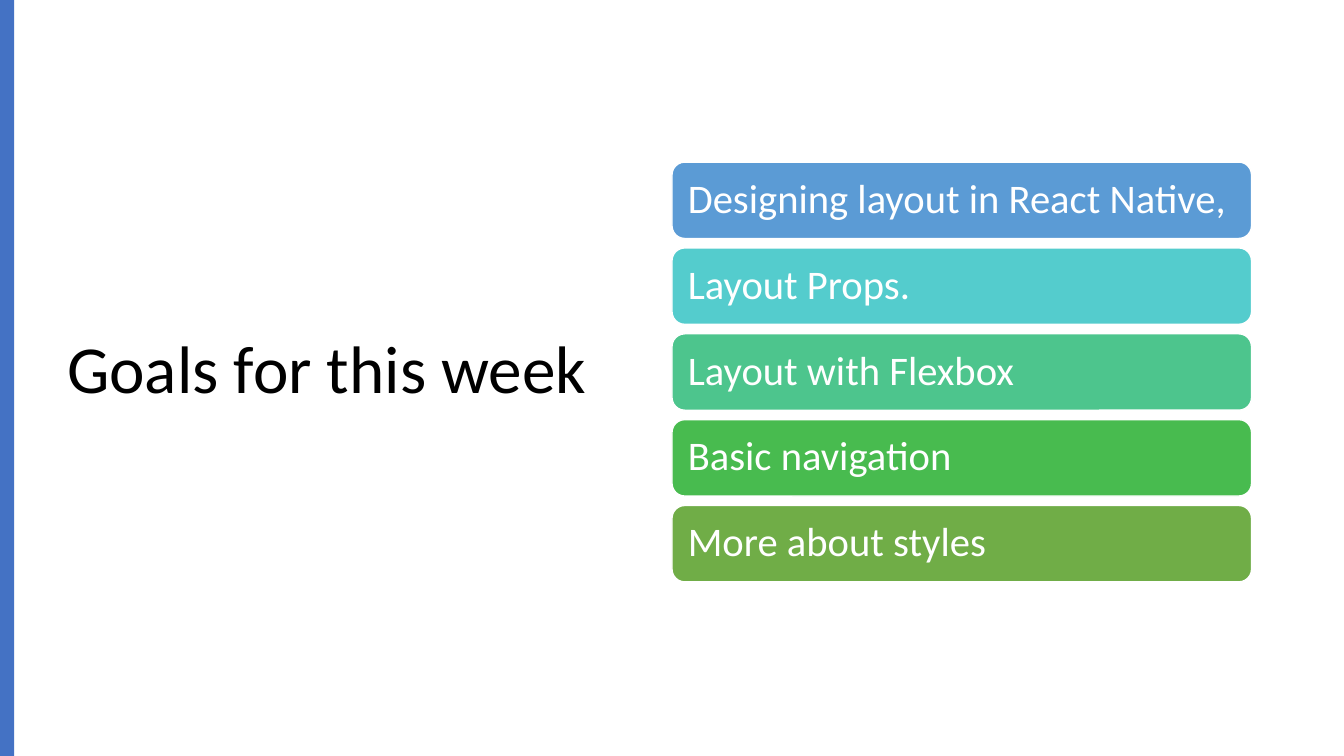
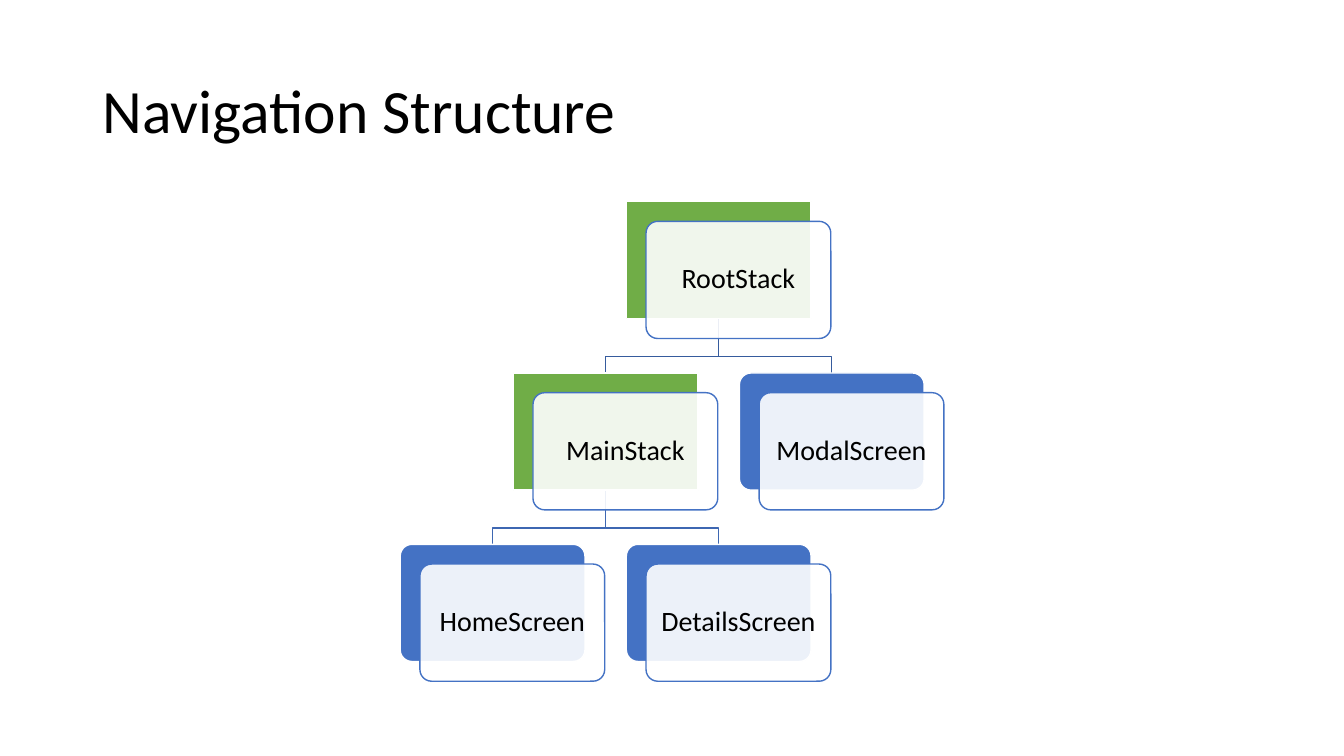
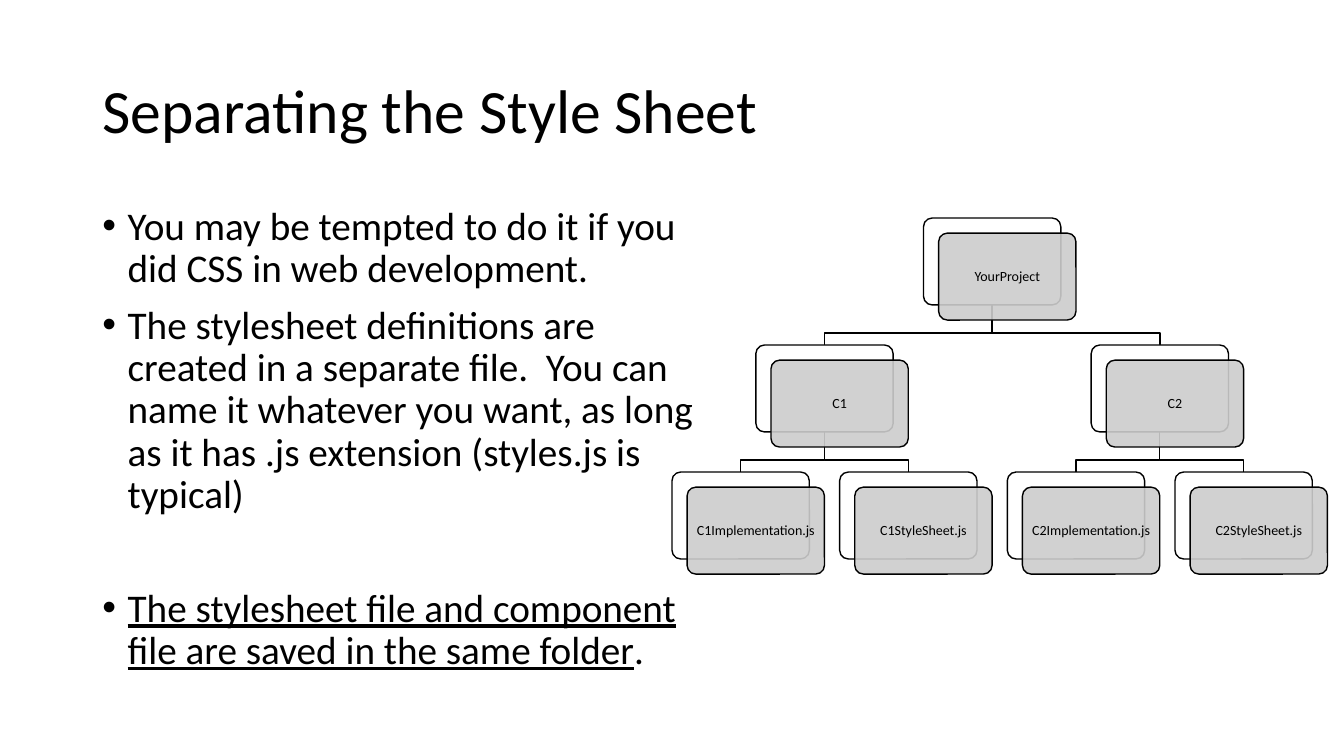
from dataclasses import dataclass
from pptx import Presentation
from pptx.dml.color import RGBColor
from pptx.enum.shapes import MSO_SHAPE
from pptx.enum.text import MSO_ANCHOR, MSO_AUTO_SIZE, PP_ALIGN
from pptx.oxml.ns import qn
from pptx.util import Inches, Pt
from lxml.etree import SubElement

# Shared grid: 160 columns by 90 rows of square cells
COLS, ROWS = 160, 90
CELL = Inches(1) // 12
FONT = "Calibri"

BLACK = RGBColor(0x00, 0x00, 0x00)
WHITE = RGBColor(0xFF, 0xFF, 0xFF)
GREY = RGBColor(0xCC, 0xCC, 0xCC)
BLUE = RGBColor(0x44, 0x72, 0xC4)
GREEN = RGBColor(0x70, 0xAD, 0x47)
NAVY = RGBColor(0x36, 0x5B, 0x9D)
ROYAL = RGBColor(0x3E, 0x67, 0xB2)
SKY = RGBColor(0x5B, 0x9B, 0xD5)
AQUA = RGBColor(0x54, 0xCC, 0xCD)
MINT = RGBColor(0x4D, 0xC5, 0x8D)
LEAF = RGBColor(0x48, 0xBB, 0x4F)

RECT, ROUND = MSO_SHAPE.RECTANGLE, MSO_SHAPE.ROUNDED_RECTANGLE
TITLE = (11, 4.8, 138, 17.4)


@dataclass
class Look:
    """Sizes in cells and colours of one tree."""
    left: float
    top: float
    step: float
    drop: float
    width: float
    height: float
    shift: float
    size: int
    inset: float
    stem: tuple      # (form, fill) of nodes with children
    leaf: tuple      # (form, fill) of end nodes
    edge: RGBColor   # outline of the back cards
    face: RGBColor
    rim: RGBColor
    links: tuple     # link colour by level


def cells(*nums):
    return [round(n * CELL) for n in nums]


def write(frame, *paras, size, color=BLACK, align=PP_ALIGN.LEFT,
          anchor=MSO_ANCHOR.MIDDLE, inset=None, before=0, hang=0):
    """Fill a frame; each paragraph is a string or a tuple of runs."""
    frame.word_wrap = True
    frame.auto_size = MSO_AUTO_SIZE.NONE
    frame.vertical_anchor = anchor
    if inset is not None:
        frame.margin_left = frame.margin_right = Inches(inset)
        frame.margin_top = frame.margin_bottom = Inches(inset)
    for i, para in enumerate(paras):
        p = frame.add_paragraph() if i else frame.paragraphs[0]
        p.alignment, p.line_spacing = align, 0.9
        p.space_before = Pt(before)
        if hang:
            props = p._p.get_or_add_pPr()
            props.set("marL", str(Inches(hang)))
            props.set("indent", str(-Inches(hang)))
        for part in (para,) if isinstance(para, str) else para:
            run = p.add_run()
            run.text = part
            run.font.name, run.font.size = FONT, Pt(size)
            run.font.color.rgb = color


def place(holder, box):
    holder.left, holder.top, holder.width, holder.height = cells(*box)
    return holder.text_frame


def page(deck, layout, title, box=TITLE, size=44):
    slide = deck.slides.add_slide(deck.slide_layouts[layout])
    write(place(slide.shapes.title, box), title, size=size)
    return slide


def card(slide, form, box, fill, line=None, bend=None, alpha=None):
    shape = slide.shapes.add_shape(form, *cells(*box))
    shape.shadow.inherit = False
    shape.fill.solid()
    shape.fill.fore_color.rgb = fill
    if alpha:
        tint = shape.fill._xPr.find(qn("a:solidFill"))[0]
        SubElement(tint, qn("a:alpha")).set("val", str(alpha * 1000))
    if line is None:
        shape.line.fill.background()
    else:
        shape.line.color.rgb, shape.line.width = line, Pt(1)
    if bend and form == ROUND:
        shape.adjustments[0] = bend
    return shape


def link(slide, start, end, color):
    """Draw an elbow that turns 70% of the way down."""
    (x, y), (u, v) = start, end
    turn = y + 0.7 * (v - y)
    pen = slide.shapes.build_freeform(*cells(x, y))
    pen.add_line_segments([cells(*dot) for dot in
                           ((x, turn), (u, turn), (u, v))], close=False)
    shape = pen.convert_to_shape()
    shape.shadow.inherit = False
    shape.fill.background()
    shape.line.color.rgb, shape.line.width = color, Pt(1)


def tree(slide, nodes, look):
    """Draw nodes given as name: (column, row, parent)."""
    def spot(name):
        col, row, _ = nodes[name]
        return look.left + col * look.step, look.top + row * look.drop

    # Links lie behind all cards
    for name, (_, row, root) in nodes.items():
        if root:
            (x, y), (u, v) = spot(root), spot(name)
            half = look.width / 2
            link(slide, (x + half, y + look.height), (u + half, v),
                 look.links[row - 1])

    # Each node is a back card and a shifted, see-through front card
    roots = {root for _, _, root in nodes.values()}
    for name in nodes:
        x, y = spot(name)
        form, fill = look.stem if name in roots else look.leaf
        dims = look.width, look.height
        card(slide, form, (x, y, *dims), fill, look.edge, bend=0.1)
        front = card(slide, ROUND, (x + look.shift, y + look.shift, *dims),
                     look.face, look.rim, bend=0.1, alpha=90)
        write(front.text_frame, name, size=look.size,
              align=PP_ALIGN.CENTER, inset=look.inset)


def goals(deck):
    slide = page(deck, 5, "Goals for this week", (6.8, 8.2, 68, 72.2), 48)
    card(slide, RECT, (0, 0, 1.7, ROWS), BLUE)
    items = (("Designing layout in React Native,", SKY),
             ("Layout Props.", AQUA),
             ("Layout with Flexbox", MINT),
             ("Basic navigation", LEAF),
             ("More about styles", GREEN))
    for i, (text, fill) in enumerate(items):
        bar = card(slide, ROUND, (80, 19.3 + i * 10.22, 69, 9.1), fill, WHITE)
        write(bar.text_frame, text, size=29, color=WHITE, inset=0.12)


def routes(deck):
    slide = page(deck, 5, "Navigation Structure")
    nodes = {"RootStack": (2, 0, None),
             "MainStack": (1, 1, "RootStack"),
             "HomeScreen": (0, 2, "MainStack"),
             "DetailsScreen": (2, 2, "MainStack"),
             "ModalScreen": (3, 1, "RootStack")}
    tree(slide, nodes, Look(
        left=47.64, top=24, step=13.46, drop=20.4, width=22, height=13.95,
        shift=2.35, size=20, inset=0.08, stem=(RECT, GREEN),
        leaf=(ROUND, BLUE), edge=WHITE, face=WHITE, rim=BLUE,
        links=(NAVY, ROYAL)))


def styles(deck):
    slide = page(deck, 1, "Separating the Style Sheet")
    body = place(slide.placeholders[1], (11, 24, 72.8, 57.1))
    write(body,
          "You may be tempted to do it if you did CSS in web development.",
          "The stylesheet definitions are created in a separate file.  You can "
          "name it whatever you want, as long as it has .js extension "
          "(styles.js is typical)",
          ("The stylesheet file and component file are saved in the same "
           "folder", "."),
          size=28, anchor=MSO_ANCHOR.TOP, before=10, hang=0.25)
    last = body.paragraphs[-1]
    last.space_before = Pt(51)
    last.runs[0].font.underline = True

    nodes = {"YourProject": (3, 0, None)}
    for i, part in enumerate(("C1", "C2")):
        nodes[part] = (1 + 4 * i, 1, "YourProject")
        for j, kind in enumerate(("Implementation", "StyleSheet")):
            nodes[f"{part}{kind}.js"] = (4 * i + 2 * j, 2, part)
    tree(slide, nodes, Look(
        left=80, top=25.95, step=9.98, drop=15.12, width=16.35, height=10.35,
        shift=1.8, size=10, inset=0.04, stem=(ROUND, WHITE),
        leaf=(ROUND, WHITE), edge=BLACK, face=GREY, rim=BLACK,
        links=(BLACK, BLACK)))


def main():
    deck = Presentation()
    deck.slide_width, deck.slide_height = cells(COLS, ROWS)
    for build in (goals, routes, styles):
        build(deck)
    deck.save("out.pptx")


if __name__ == "__main__":
    main()
